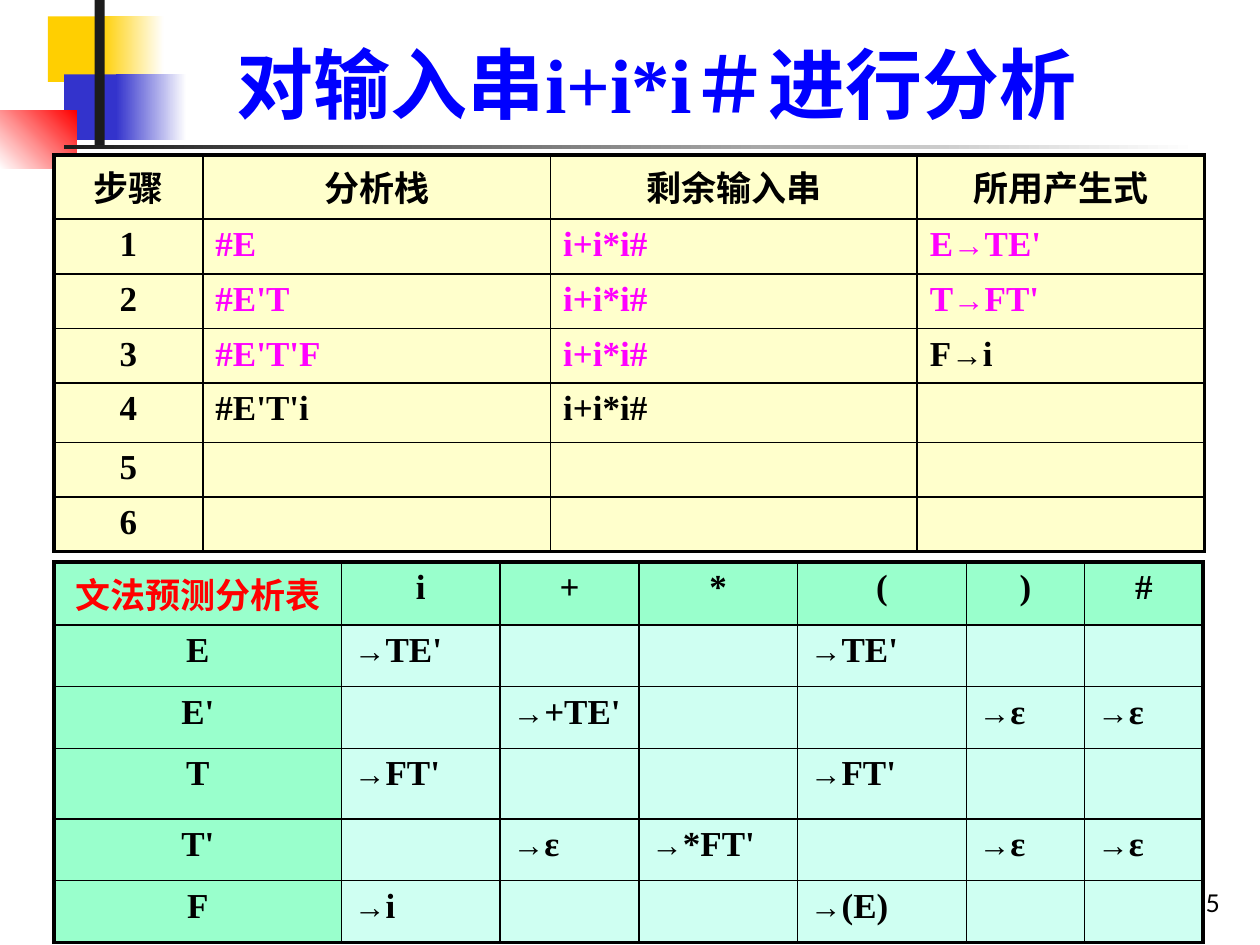
from pptx import Presentation, util as u
from pptx.dml.color import RGBColor
from pptx.enum import shapes, text
from pptx.oxml.ns import qn
from lxml import etree

FONT = "Times New Roman"
TITLE = "对输入串i+i*i＃进行分析"
PAGE = "45"

DECOR = [
    ((0.38, 0.13, 0.67, 0.52), ["FFCF01"], 0),
    ((0.8, 0.13, 0.5, 0.52), ["FFCF01", "FFFFFF"], 0),
    ((0.51, 0.59, 0.64, 0.52), ["3333CC"], 0),
    ((0.92, 0.59, 0.56, 0.52), ["3333CC", "FFFFFF"], 0),
    ((0, 0.88, 0.61, 0.46), ["FFFFFF", "FF0000"], 45),
    ((0.75, 0, 0.08, 1.15), ["1C1C1C"], 0),
    ((0.51, 1.15, 9, 0.03), ["1C1C1C", "FFFFFF"], 0),
]

PREDICT = {
    "at": (0.43, 4.46),
    "cols": [2.28, 1.26, 1.1, 1.26, 1.34, 0.94, 0.94],
    "rows": [0.5, 0.49, 0.49, 0.56, 0.49, 0.49],
    "head": "99FFCC", "body": "CFFFF2",
    "colours": {(0, 0): "FF0000"},
    "cells": [
        ["文法预测分析表", "i", "+", "*", "(", ")", "#"],
        ["E", "→TE'", "", "", "→TE'", "", ""],
        ["E'", "", "→+TE'", "", "", "→ε", "→ε"],
        ["T", "→FT'", "", "", "→FT'", "", ""],
        ["T'", "", "→ε", "→*FT'", "", "→ε", "→ε"],
        ["F", "→i", "", "", "→(E)", "", ""],
    ],
}

PINK_CELLS = [(1, 1), (1, 2), (1, 3), (2, 1), (2, 2), (2, 3), (3, 1), (3, 2)]
STEPS = {
    "at": (0.43, 1.23),
    "cols": [1.18, 2.76, 2.91, 2.28],
    "rows": [0.51, 0.41, 0.41, 0.41, 0.47, 0.41, 0.41],
    "head": "FFFFCC", "body": "FFFFCC",
    "colours": dict.fromkeys(PINK_CELLS, "FF00FF"),
    "cells": [
        ["步骤", "分析栈", "剩余输入串", "所用产生式"],
        ["1", "#E", "i+i*i#", "E→TE'"],
        ["2", "#E'T", "i+i*i#", "T→FT'"],
        ["3", "#E'T'F", "i+i*i#", "F→i"],
        ["4", "#E'T'i", "i+i*i#", ""],
        ["5", "", "", ""],
        ["6", "", "", ""],
    ],
}


def rgb(colour):
    return RGBColor.from_string(colour)


def box(at):
    return [u.Inches(v) for v in at]


def add_run(p, words, size, colour, font=FONT, bold=True):
    r = p.add_run()
    r.text = words
    r.font.size = u.Pt(size)
    r.font.name = font
    r.font.bold = bold
    r.font.color.rgb = rgb(colour)


def add_block(s, at, colours, angle):
    sp = s.shapes.add_shape(shapes.MSO_SHAPE.RECTANGLE, *box(at))
    sp.shadow.inherit = False
    sp.line.fill.background()
    if len(colours) == 1:
        sp.fill.solid()
        sp.fill.fore_color.rgb = rgb(colours[0])
        return
    sp.fill.gradient()
    sp.fill.gradient_angle = angle
    for stop, colour in zip(sp.fill.gradient_stops, colours):
        stop.color.rgb = rgb(colour)


def add_label(s, at, words, align, **style):
    tf = s.shapes.add_textbox(*box(at)).text_frame
    tf.word_wrap = True
    tf.vertical_anchor = text.MSO_ANCHOR.BOTTOM
    p = tf.paragraphs[0]
    p.alignment = align
    add_run(p, words, **style)


def set_borders(cell, outer):
    tcPr = cell._tc.get_or_add_tcPr()
    for side in "LRTB":
        width = u.Pt(2.25 if side in outer else 1)
        ln = etree.SubElement(tcPr, qn("a:ln" + side), w=str(width))
        fill = etree.SubElement(ln, qn("a:solidFill"))
        etree.SubElement(fill, qn("a:srgbClr"), val="000000")


def add_grid(s, spec):
    cols, rows = spec["cols"], spec["rows"]
    frame = s.shapes.add_table(len(rows), len(cols),
                               *box((*spec["at"], sum(cols), sum(rows))))
    table = frame.table
    table.first_row = table.horz_banding = False
    for col, width in zip(table.columns, cols):
        col.width = u.Inches(width)
    for row, height in zip(table.rows, rows):
        row.height = u.Inches(height)
    for i, line in enumerate(spec["cells"]):
        for j, words in enumerate(line):
            cell = table.cell(i, j)
            edges = {"L": j == 0, "R": j == len(cols) - 1,
                     "T": i == 0, "B": i == len(rows) - 1}
            set_borders(cell, [side for side in edges if edges[side]])
            header = i == 0 or j == 0
            cell.fill.solid()
            cell.fill.fore_color.rgb = rgb(spec["head" if header else "body"])
            p = cell.text_frame.paragraphs[0]
            p.alignment = text.PP_ALIGN.CENTER if header else text.PP_ALIGN.LEFT
            for part in words.partition("→"):
                if part:
                    add_run(p, part, 18 if part == "→" else 20,
                            spec["colours"].get((i, j), "000000"))


def main():
    prs = Presentation()
    prs.slide_width, prs.slide_height = u.Inches(10), u.Inches(7.5)
    s = prs.slides.add_slide(prs.slide_layouts[6])
    for block in DECOR:
        add_block(s, *block)
    add_label(s, (7.7, 6.83, 2.08, 0.5), PAGE, text.PP_ALIGN.RIGHT,
              size=14, colour="000000", font="Lato", bold=False)
    add_label(s, (1.26, 0.23, 7.91, 0.84), TITLE, text.PP_ALIGN.CENTER,
              size=44, colour="0000FF")
    add_grid(s, PREDICT)
    add_grid(s, STEPS)
    prs.save("out.pptx")


if __name__ == "__main__":
    main()
